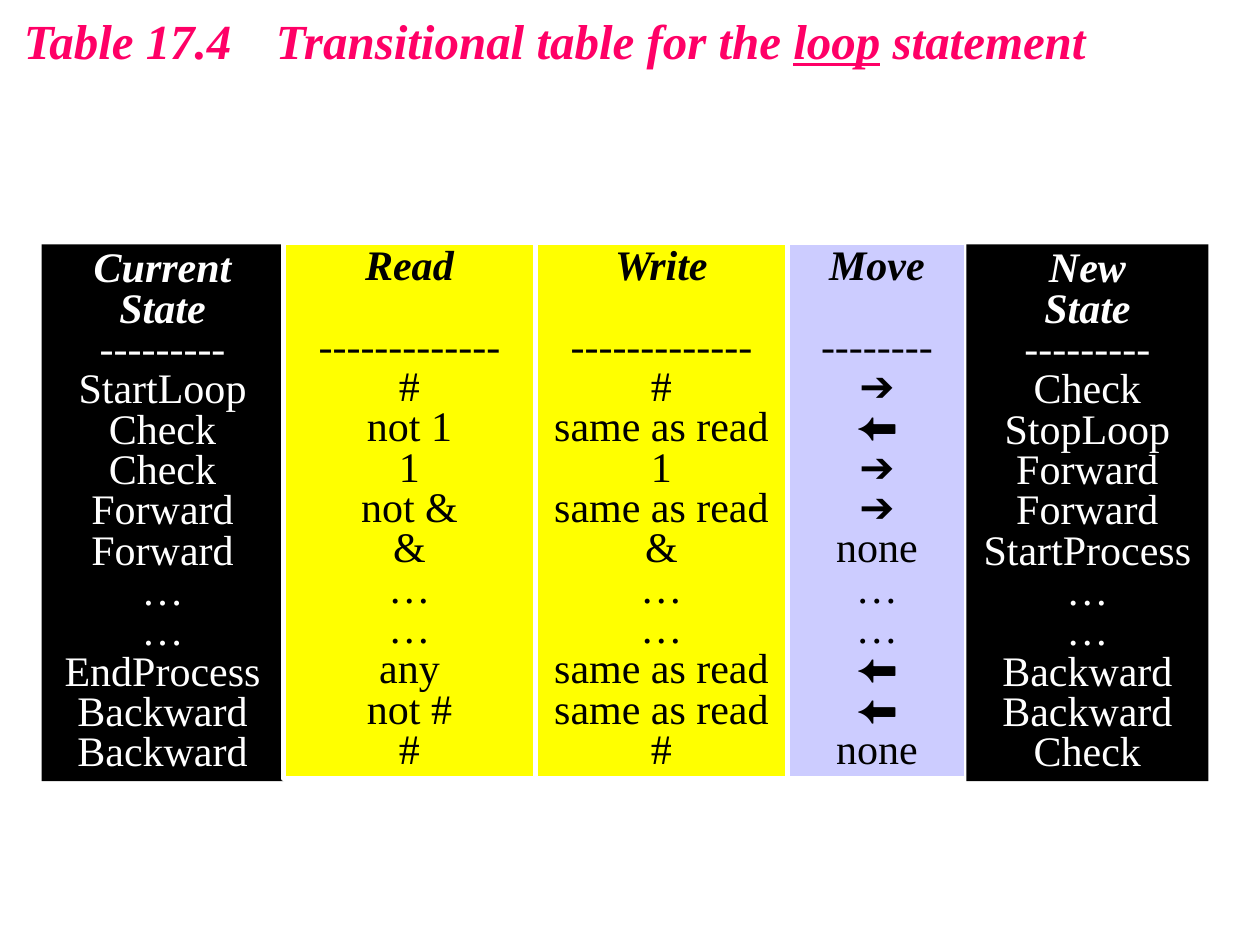
from copy import deepcopy

from lxml import etree
from pptx import Presentation
from pptx import util as u
from pptx.dml import color
from pptx.enum import shapes, text
from pptx.oxml import ns

SERIF = "Times New Roman"
ARROWS = "➔⬅"
BLACK, WHITE, YELLOW, LILAC = "000000", "FFFFFF", "FFFF00", "CCCCFF"
MORE = ["…", "…"]


def rgb(value):
    return color.RGBColor.from_string(value)


def write(paragraph, words, size=24, font=SERIF, ink=BLACK,
          bold=False, italic=False, underline=False):
    for index, line in enumerate(words.split("\n")):
        if index:
            line_break = etree.SubElement(paragraph._p, ns.qn("a:br"))
            line_break.append(deepcopy(run._r.rPr))
        if index and not line:
            continue
        run = paragraph.add_run()
        run.text = line
        run.font.size = u.Pt(size)
        run.font.name = font
        run.font.color.rgb = rgb(ink)
        run.font.bold = bold
        run.font.italic = italic
        run.font.underline = underline


class TableSlide:
    accent = "FF0066"
    row_spacing = 0.8
    border = 3

    def __init__(self, deck):
        self.slide = deck.slides.add_slide(deck.slide_layouts[5])

    def place(self, box, left, top, width, height):
        box.left, box.top = u.Inches(left), u.Inches(top)
        box.width, box.height = u.Inches(width), u.Inches(height)

    def frame(self, box, wrap):
        frame = box.text_frame
        frame.word_wrap = wrap
        frame.auto_size = text.MSO_AUTO_SIZE.SHAPE_TO_FIT_TEXT
        frame.vertical_anchor = text.MSO_ANCHOR.TOP
        return frame

    def title(self, parts, tab):
        heading = self.slide.shapes.title
        self.place(heading, 0.09, 0.03, 8.64, 0.57)
        caption = self.frame(heading, False).paragraphs[0]
        caption.alignment = text.PP_ALIGN.LEFT
        stops = etree.SubElement(caption._p.get_or_add_pPr(), ns.qn("a:tabLst"))
        etree.SubElement(stops, ns.qn("a:tab"), pos=str(u.Inches(tab)), algn="l")
        for words, underline in parts:
            write(caption, words, size=28, ink=self.accent,
                  bold=True, italic=True, underline=underline)

    def column(self, left, top, width, fill, ink, outlined, header, rule, entries):
        panel = self.slide.shapes.add_shape(
            shapes.MSO_SHAPE.RECTANGLE, u.Inches(left), u.Inches(top),
            u.Inches(width), u.Inches(4.26))
        panel.shadow.inherit = False
        panel.fill.solid()
        panel.fill.fore_color.rgb = rgb(fill)
        if outlined:
            panel.line.color.rgb = rgb(WHITE)
            panel.line.width = u.Pt(self.border)
        else:
            panel.line.fill.background()
        frame = self.frame(panel, True)
        head = frame.paragraphs[0]
        write(head, header + "\n", ink=ink, bold=True, italic=True)
        write(head, "-" * rule, ink=ink)
        for entry in entries:
            font = "Arial" if entry in ARROWS else SERIF
            write(frame.add_paragraph(), entry, font=font, ink=ink)
        for paragraph in frame.paragraphs:
            paragraph.alignment = text.PP_ALIGN.CENTER
            paragraph.line_spacing = self.row_spacing


def main():
    deck = Presentation()
    deck.slide_width, deck.slide_height = u.Inches(10), u.Inches(7.5)
    page = TableSlide(deck)
    page.title([("Table 17.4\tTransitional table for the ", False),
                ("loop", True), (" statement", False)], tab=2)

    state = (BLACK, WHITE, False)
    symbol = (YELLOW, BLACK, True)
    move = (LILAC, BLACK, True)
    columns = [
        (1.92, state, "Current\nState", 9,
         ["StartLoop", "Check", "Check", "Forward", "Forward", *MORE,
          "EndProcess", "Backward", "Backward"]),
        (2, symbol, "Read\n", 13,
         ["#", "not 1", "1", "not &", "&", *MORE, "any", "not #", "#"]),
        (2, symbol, "Write\n", 13,
         ["#", "same as read", "1", "same as read", "&", *MORE,
          "same as read", "same as read", "#"]),
        (1.42, move, "Move\n", 8,
         ["➔", "⬅", "➔", "➔", "none", *MORE, "⬅", "⬅", "none"]),
        (1.92, state, "New\nState", 9,
         ["Check", "StopLoop", "Forward", "Forward", "StartProcess", *MORE,
          "Backward", "Backward", "Check"]),
    ]
    left = 0.33
    for width, (fill, ink, outlined), header, rule, entries in columns:
        top = 1.92 if outlined else 1.94
        page.column(left, top, width, fill, ink, outlined, header, rule, entries)
        left += width

    deck.save("out.pptx")


if __name__ == "__main__":
    main()
